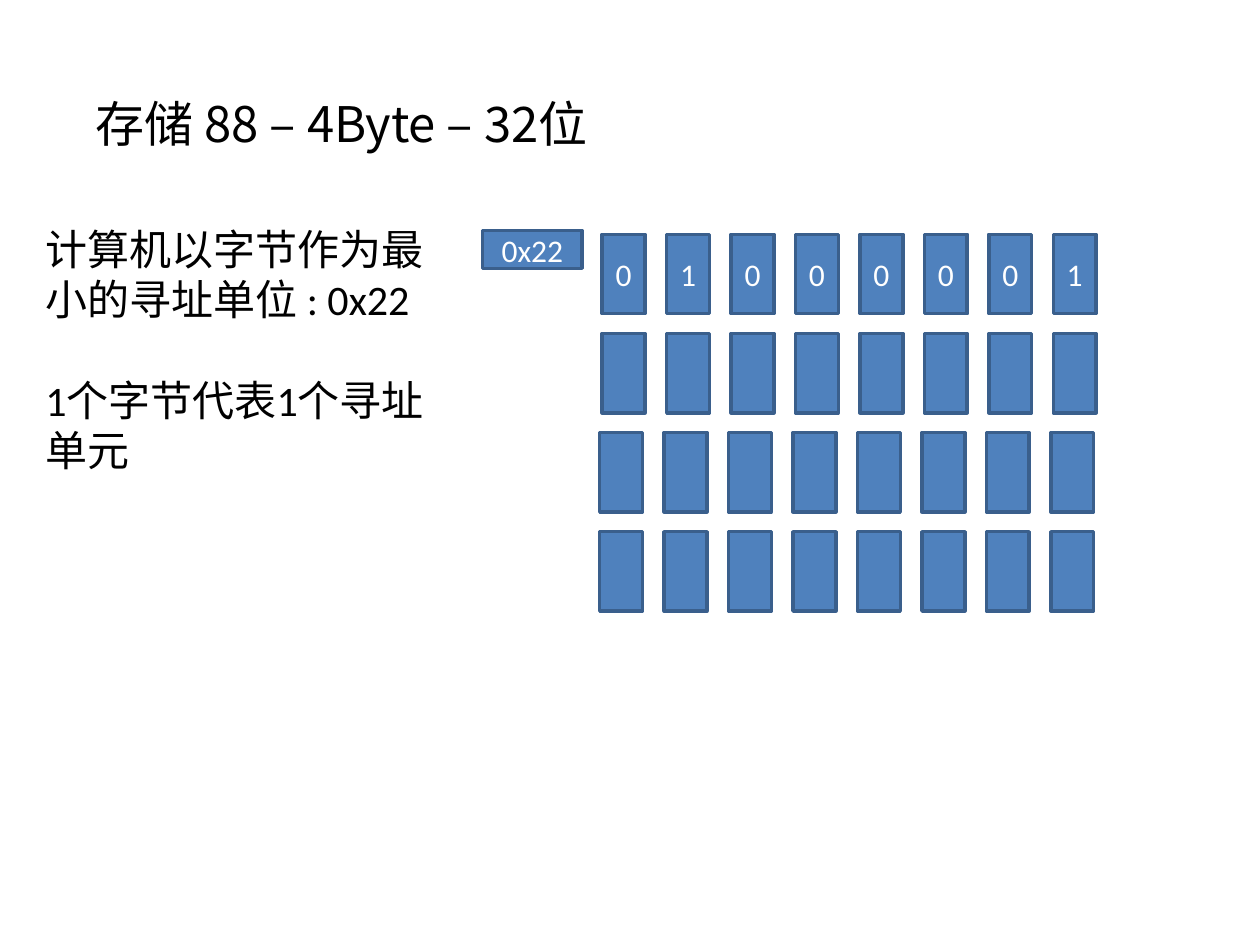
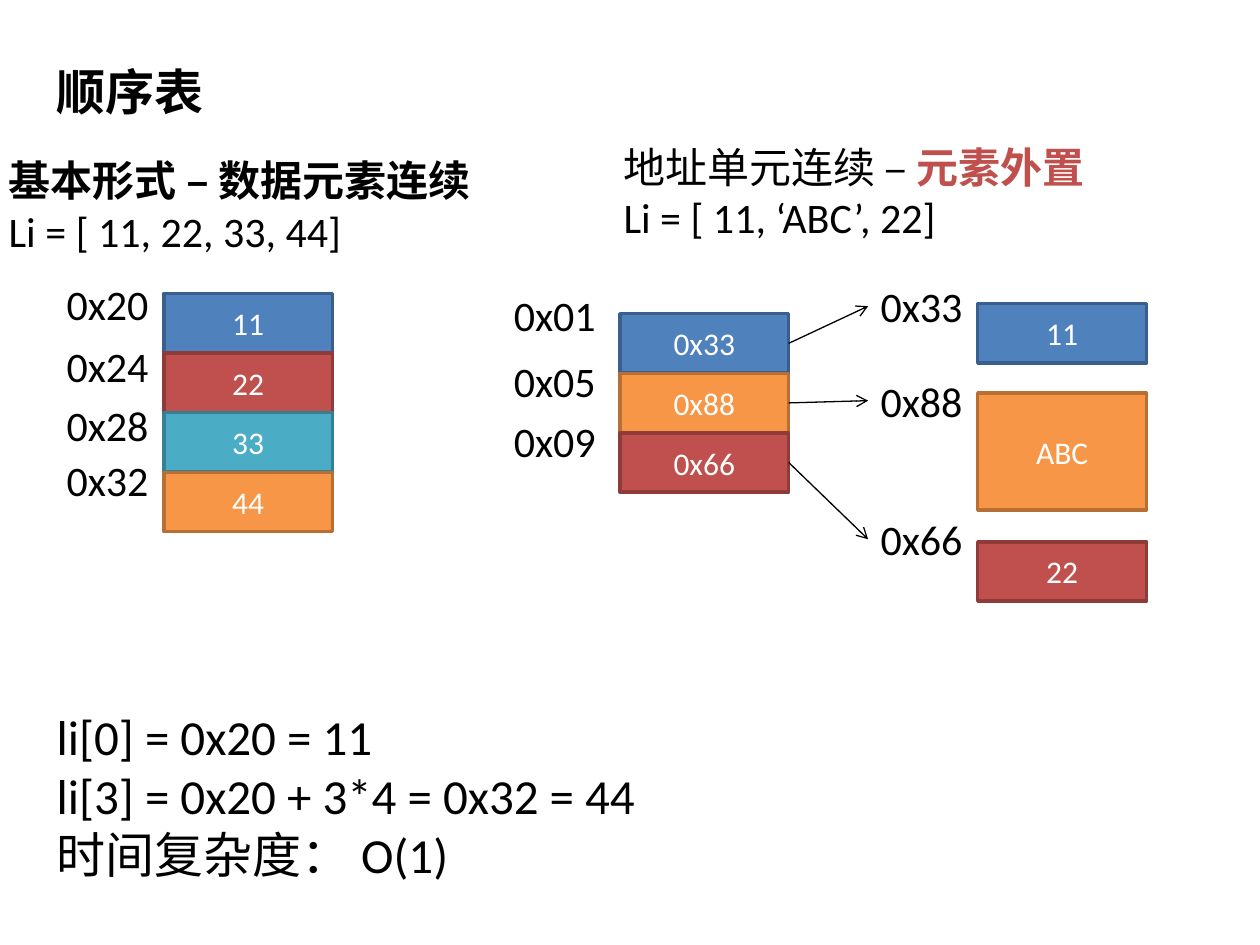
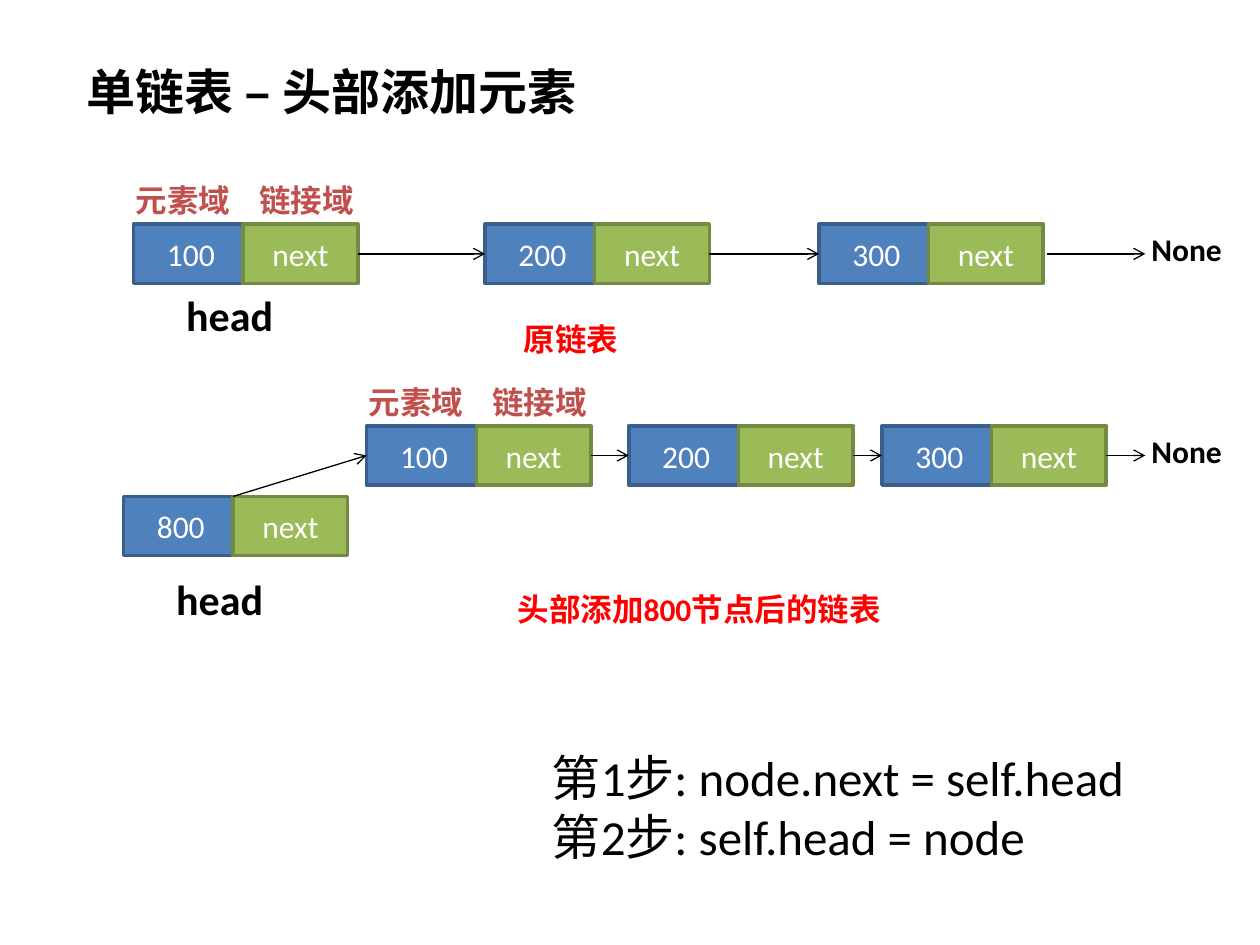
"""Build three slides on memory cells, sequential lists and linked lists."""
from dataclasses import dataclass

from lxml import etree
from pptx import Presentation
from pptx import util as u
from pptx.dml.color import RGBColor
from pptx.enum import shapes, text
from pptx.oxml import ns


@dataclass(frozen=True)
class Theme:
    latin: str = "Calibri"
    chinese: str = "Noto Sans CJK SC"
    black: str = "000000"
    white: str = "FFFFFF"
    accent: str = "C0504D"
    alert: str = "FF0000"
    large: int = 28
    medium: int = 24
    small: int = 18
    edge: float = 2
    arrow: float = 0.75


THEME = Theme()
BOX_COLORS = {
    "blue": ("4F81BD", "3A5F8C"),
    "red": ("C0504D", "8E3B39"),
    "teal": ("4BACC6", "377F92"),
    "orange": ("F79646", "B76F34"),
    "green": ("9BBB59", "738A42"),
}

STORAGE = {
    "title": "存储 88 – 4Byte – 32位",
    "title_at": (0.66, 0.69, 4.31, 0.57),
    "body": ["计算机以字节作为最小的寻址单位 : 0x22", "1个字节代表1个寻址单元"],
    "body_at": (0.26, 1.72, 3.34, 2.12),
    "address": "0x22",
    "rows": [(4.78, "01000001"), (4.78, ""), (4.76, ""), (4.76, "")],
}
SEQUENTIAL = {
    "title": "顺序表",
    "title_at": (0.35, 0.44, 1.38, 0.57),
    "body": ["li[0] = 0x20 = 11", "li[3] = 0x20 + 3*4 = 0x32 = 44", "时间复杂度： O(1)"],
    "body_at": (0.35, 5.56, 4.86, 1.51),
    "headings": [
        ((-0.03, 1.18, 3.89, 0.91),
         [[("基本形式 – 数据元素连续", {"bold": True})], "Li = [ 11, 22, 33, 44]"]),
        ((4.85, 1.07, 3.89, 0.91),
         [["地址单元连续 – ", ("元素外置", {"bold": True, "color": THEME.accent})],
          "Li = [ 11, ‘ABC’, 22]"]),
    ],
    "elements": [("0x20", 2.16, "11", "blue"), ("0x24", 2.65, "22", "red"),
                 ("0x28", 3.12, "33", "teal"), ("0x32", 3.56, "44", "orange")],
    "pointers": [("0x01", 2.25, "0x33", "blue"), ("0x05", 2.77, "0x88", "orange"),
                 ("0x09", 3.25, "0x66", "red")],
    "targets": [("0x33", 2.18, "11", "blue", 2.41, 0.47),
                ("0x88", 2.93, "ABC", "orange", 3.12, 0.93),
                ("0x66", 4.03, "22", "red", 4.3, 0.47)],
}
LINKED = {
    "title": "单链表 – 头部添加元素",
    "title_at": (0.59, 0.44, 4.13, 0.57),
    "body": ["第1步: node.next = self.head", "第2步: self.head = node"],
    "body_at": (4.28, 5.88, 4.8, 1.04),
    "chains": [
        {"top": 1.78, "nodes": [(1.06, "100"), (3.85, "200"), (6.5, "300")], "last_start": 8.31},
        {"top": 3.38, "nodes": [(2.91, "100"), (4.99, "200"), (7, "300")], "last_start": 8.78},
    ],
    "fields": ["元素域", "链接域"],
    "new_node": (0.98, 3.94, "800"),
    "heads": [(1.38, 2.25), (1.3, 4.5)],
    "captions": [("原链表", (4.06, 2.49, 0.96, 0.4)),
                 ("头部添加800节点后的链表", (4.01, 4.63, 3.13, 0.4))],
}


def inches(values):
    return [u.Inches(value) for value in values]


def write(shape, paragraphs, size=THEME.medium, color=THEME.black, bold=False,
          font=THEME.latin, align=text.PP_ALIGN.LEFT, anchor=text.MSO_ANCHOR.TOP,
          wrap=True, gap=0):
    frame = shape.text_frame
    frame.word_wrap = wrap
    frame.auto_size = text.MSO_AUTO_SIZE.NONE
    frame.vertical_anchor = anchor
    for index, content in enumerate(paragraphs):
        paragraph = frame.add_paragraph() if index else frame.paragraphs[0]
        paragraph.alignment = align
        paragraph.space_before = u.Pt(gap if index else 0)
        for part in [content] if isinstance(content, str) else content:
            words, changes = (part, {}) if isinstance(part, str) else part
            run = paragraph.add_run()
            run.text = words
            run.font.size = u.Pt(size)
            run.font.bold = changes.get("bold", bold)
            run.font.name = font
            run.font.color.rgb = RGBColor.from_string(changes.get("color", color))
            east_asian = etree.SubElement(run.font._element, ns.qn("a:ea"))
            east_asian.set("typeface", THEME.chinese)


def place(shape, at):
    shape.left, shape.top, shape.width, shape.height = inches(at)


def start_slide(presentation, content, body_size=THEME.large, gap=0, **title_format):
    slide = presentation.slides.add_slide(presentation.slide_layouts[1])
    title, body = slide.shapes.title, slide.placeholders[1]
    place(title, content["title_at"])
    write(title, [content["title"]], size=THEME.large, **title_format)
    place(body, content["body_at"])
    write(body, content["body"], size=body_size, gap=gap)
    for paragraph in body.text_frame.paragraphs:
        properties = paragraph._p.get_or_add_pPr()
        properties.set("marL", "0")
        properties.set("indent", "0")
        etree.SubElement(properties, ns.qn("a:buNone"))
    return slide


def add_label(slide, at, paragraphs, **format):
    label = slide.shapes.add_textbox(*inches(at))
    write(label, paragraphs, **{"wrap": False, **format})
    return label


def add_box(slide, at, words="", color="blue"):
    box = slide.shapes.add_shape(shapes.MSO_SHAPE.RECTANGLE, *inches(at))
    fill, edge = BOX_COLORS[color]
    box.shadow.inherit = False
    box.fill.solid()
    box.fill.fore_color.rgb = RGBColor.from_string(fill)
    box.line.color.rgb = RGBColor.from_string(edge)
    box.line.width = u.Pt(THEME.edge)
    if words:
        write(box, [words], size=THEME.small, color=THEME.white,
              align=text.PP_ALIGN.CENTER, anchor=text.MSO_ANCHOR.MIDDLE)
    return box


def add_arrow(slide, start, end):
    """Draw an arrow between points, or from a shape's right to a shape's left side."""
    points = [inches(item) if isinstance(item, tuple) else (0, 0) for item in (start, end)]
    arrow = slide.shapes.add_connector(shapes.MSO_CONNECTOR.STRAIGHT, *points[0], *points[1])
    if not isinstance(start, tuple):
        arrow.begin_connect(start, 3)
    if not isinstance(end, tuple):
        arrow.end_connect(end, 1)
    arrow.line.color.rgb = RGBColor.from_string(THEME.black)
    arrow.line.width = u.Pt(THEME.arrow)
    etree.SubElement(arrow.line._get_or_add_ln(), ns.qn("a:tailEnd")).set("type", "arrow")
    etree.SubElement(arrow._element.spPr, ns.qn("a:effectLst"))


def build_storage(presentation):
    slide = start_slide(presentation, STORAGE, body_size=THEME.medium, gap=29, font=THEME.chinese)
    columns, column_step, row_step = 8, 3.58 / 7, 2.36 / 3
    for row, (left, bits) in enumerate(STORAGE["rows"]):
        for column, bit in enumerate(bits or [""] * columns):
            add_box(slide, (left + column * column_step, 1.86 + row * row_step, 0.34, 0.63), bit)
    add_box(slide, (3.83, 1.83, 0.79, 0.3), STORAGE["address"])


def add_stack(slide, cells, label_left, left, top):
    boxes = []
    for index, (address, label_top, value, color) in enumerate(cells):
        add_label(slide, (label_left, label_top, 0.86, 0.5), [address])
        boxes.append(add_box(slide, (left, top + index * 0.473, 1.34, 0.47), value, color))
    return boxes


def build_sequential(presentation):
    slide = start_slide(presentation, SEQUENTIAL, bold=True)
    for at, paragraphs in SEQUENTIAL["headings"]:
        add_label(slide, at, paragraphs)
    add_stack(slide, SEQUENTIAL["elements"], 0.43, 1.3, 2.33)
    pointers = add_stack(slide, SEQUENTIAL["pointers"], 3.98, 4.92, 2.49)
    for pointer, target in zip(pointers, SEQUENTIAL["targets"]):
        address, label_top, value, color, top, height = target
        label = add_label(slide, (6.89, label_top, 0.86, 0.5), [address])
        add_box(slide, (7.76, top, 1.34, height), value, color)
        add_arrow(slide, pointer, label)


def add_node(slide, left, top, value):
    return (add_box(slide, (left, top, 0.91, 0.47), value),
            add_box(slide, (left + 0.87, top, 0.91, 0.47), "next", "green"))


def add_chain(slide, chain):
    top = chain["top"]
    nodes = [add_node(slide, left, top, value) for left, value in chain["nodes"]]
    for (_, link), (value, _) in zip(nodes, nodes[1:]):
        add_arrow(slide, link, value)
    middle = top + 0.235
    add_arrow(slide, (chain["last_start"], middle), (9.09, middle))
    add_label(slide, (9.04, top, 0.76, 0.4), ["None"], size=THEME.small, bold=True)
    for index, field in enumerate(LINKED["fields"]):
        at = (chain["nodes"][0][0] - 0.08 + index * 0.98, top - 0.39, 0.96, 0.4)
        add_label(slide, at, [field], size=THEME.small, color=THEME.accent, bold=True)
    return nodes[0][0]


def build_linked(presentation):
    slide = start_slide(presentation, LINKED, bold=True)
    first_values = [add_chain(slide, chain) for chain in LINKED["chains"]]
    left, top, value = LINKED["new_node"]
    add_node(slide, left, top, value)
    add_arrow(slide, (left + 0.87, top), first_values[-1])
    for head_left, head_top in LINKED["heads"]:
        add_label(slide, (head_left, head_top, 0.94, 0.5), ["head"], bold=True)
    for caption, at in LINKED["captions"]:
        add_label(slide, at, [caption], size=THEME.small, color=THEME.alert, bold=True, wrap=True)


def main():
    presentation = Presentation()
    presentation.slide_width, presentation.slide_height = inches((10, 7.5))
    build_storage(presentation)
    build_sequential(presentation)
    build_linked(presentation)
    presentation.save("out.pptx")


if __name__ == "__main__":
    main()
